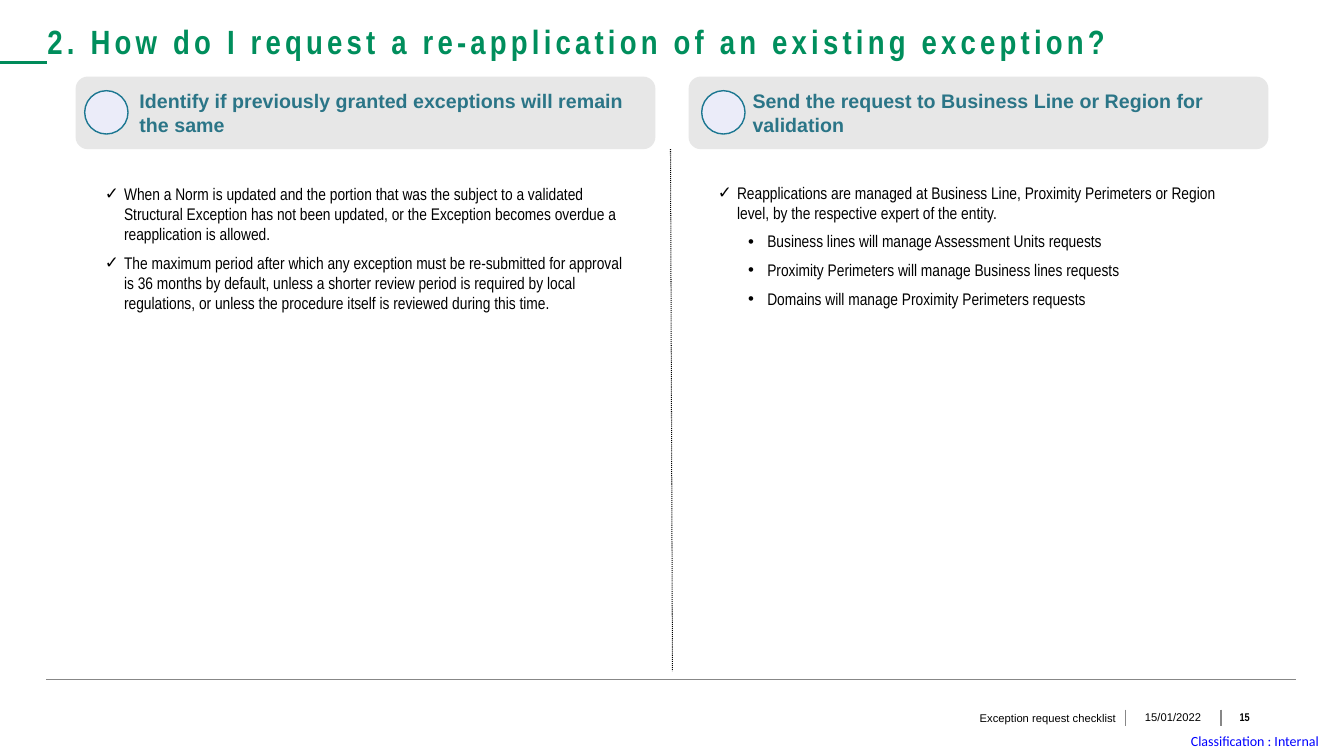
from pptx import Presentation
from pptx.util import Inches, Pt
from pptx.dml.color import RGBColor
from pptx.enum.dml import MSO_LINE
from pptx.enum.shapes import MSO_SHAPE as Form, MSO_CONNECTOR as Wire
from pptx.enum.text import MSO_ANCHOR as Anchor, MSO_AUTO_SIZE as Fit, PP_ALIGN as Align
from pptx.oxml.ns import qn
from lxml.etree import SubElement


def hue(code):
    return RGBColor.from_string(code)


def style(para, size, face, code, bold=False, align=Align.LEFT):
    font = para.font
    font.size, font.name, font.bold = Pt(size), face, bold
    font.color.rgb = hue(code)
    para.alignment = align


deck = Presentation()
deck.slide_width, deck.slide_height = Inches(13.33), Inches(7.5)
slide = deck.slides.add_slide(deck.slide_layouts[3])
shapes = slide.shapes

rules = [
    (0.46, 6.74, 12.85, 6.74, "878787", 1),
    (11.16, 7.04, 11.16, 7.2, "878787", 0.75),
    (12.11, 7.04, 12.11, 7.2, "878787", 0.75),
    (0, 0.62, 0.47, 0.62, "008B5A", 2.25),
    (6.65, 1.48, 6.67, 6.66, "000000", 0.75),
]
for *ends, code, width in rules:
    rule = shapes.add_connector(Wire.STRAIGHT, *map(Inches, ends))
    rule.line.color.rgb = hue(code)
    rule.line.width = Pt(width)
    SubElement(rule._element.spPr, qn("a:effectLst"))
rule.line.dash_style = MSO_LINE.ROUND_DOT

title = shapes.title
title.left, title.top, title.width, title.height = map(Inches, (0.47, 0.06, 12.39, 0.55))
title.text = "2. How do I request a re-application of an existing exception?"
frame = title.text_frame
frame.auto_size = Fit.NONE
frame.vertical_anchor = Anchor.BOTTOM
frame.margin_left = frame.margin_right = frame.margin_top = frame.margin_bottom = 0
para = frame.paragraphs[0]
style(para, 24, "Arial Narrow", "008E5C", True)
para.runs[0].font._element.set("spc", "300")

columns = [
    (0.75, 0.84, 1.04, 1.82, "Identify if previously granted exceptions will remain the same", [
        ("✓", "When a Norm is updated and the portion that was the subject to a validated Structural Exception has not been updated, or the Exception becomes overdue a reapplication is allowed."),
        ("✓", "The maximum period after which any exception must be re-submitted for approval is 36 months by default, unless a shorter review period is required by local regulations, or unless the procedure itself is reviewed during this time."),
    ]),
    (6.83, 6.96, 7.12, 1.81, "Send the request to Business Line or Region for validation", [
        ("✓", "Reapplications are managed at Business Line, Proximity Perimeters or Region level, by the respective expert of the entity."),
        ("•", "Business lines will manage Assessment Units requests"),
        ("•", "Proximity Perimeters will manage Business lines requests"),
        ("•", "Domains will manage Proximity Perimeters requests"),
    ]),
]
for spot, (left, dot, edge, top, head, items) in enumerate(columns, 1):
    band = shapes.add_shape(Form.ROUNDED_RECTANGLE, Inches(left), Inches(0.76), Inches(5.75), Inches(0.72))
    band.shadow.inherit = False
    band.fill.solid()
    band.fill.fore_color.rgb = hue("E7E7E7")
    band.line.fill.background()
    frame = band.text_frame
    frame.text = head
    frame.word_wrap = True
    frame.vertical_anchor = Anchor.MIDDLE
    frame.margin_left = frame.margin_right = Inches(0.1)
    frame.margin_top = frame.margin_bottom = Inches(0.1)
    para = frame.paragraphs[0]
    style(para, 14, "Arial", "2B7587", True)
    para._p.get_or_add_pPr().set("marL", str(Inches(0.5)))

    disc = shapes.add_shape(Form.OVAL, Inches(dot), Inches(0.9), Inches(0.43), Inches(0.43))
    disc.shadow.inherit = False
    disc.fill.solid()
    disc.fill.fore_color.rgb = hue("EBECF9")
    disc.line.color.rgb = hue("1C7791")
    disc.line.width = Pt(1)

    body = slide.placeholders[spot]
    body.left, body.top, body.width, body.height = map(Inches, (edge, top, 5.16, 4.03))
    frame = body.text_frame
    frame.text = "\n".join(text for mark, text in items)
    frame.auto_size = Fit.NONE
    frame.margin_left = frame.margin_right = frame.margin_top = frame.margin_bottom = 0
    for para, (mark, text) in zip(frame.paragraphs, items):
        style(para, 12, "Arial Narrow", "000000")
        para.space_before, para.space_after = Pt(0), Pt(6)
        para.level = 0 if mark == "✓" else 1
        props = para._p.get_or_add_pPr()
        props.set("marL", str(Inches(0.19 + 0.3 * para.level)))
        props.set("indent", str(Inches(-0.19)))
        bullet = SubElement(props, qn("a:buChar"))
        bullet.set("char", mark)
        props.remove(bullet)
        props.insert_element_before(bullet, "a:tabLst", "a:defRPr", "a:extLst")

notes = [
    (8.17, 7.02, 2.94, 0.2, "Exception request checklist", 8, "Arial", "000000", False, Align.RIGHT),
    (11.31, 7.01, 0.65, 0.21, "15/01/2022", 8, "Arial", "000000", False, Align.CENTER),
    (12.25, 7.01, 0.19, 0.21, "15", 8, "Arial Narrow", "000000", True, Align.CENTER),
    (11.36, 7.21, 1.97, 0.29, "Classification : Internal", 10, "Calibri", "0000FF", False, Align.RIGHT),
]
for *place, text, size, face, code, bold, align in notes:
    box = shapes.add_textbox(*map(Inches, place))
    frame = box.text_frame
    frame.text = text
    frame.word_wrap = False
    frame.vertical_anchor = Anchor.MIDDLE
    frame.margin_left = frame.margin_right = Inches(0.04)
    frame.margin_top = frame.margin_bottom = Inches(0.04)
    style(frame.paragraphs[0], size, face, code, bold, align)
frame.margin_right = Inches(0.25)

deck.save("out.pptx")
